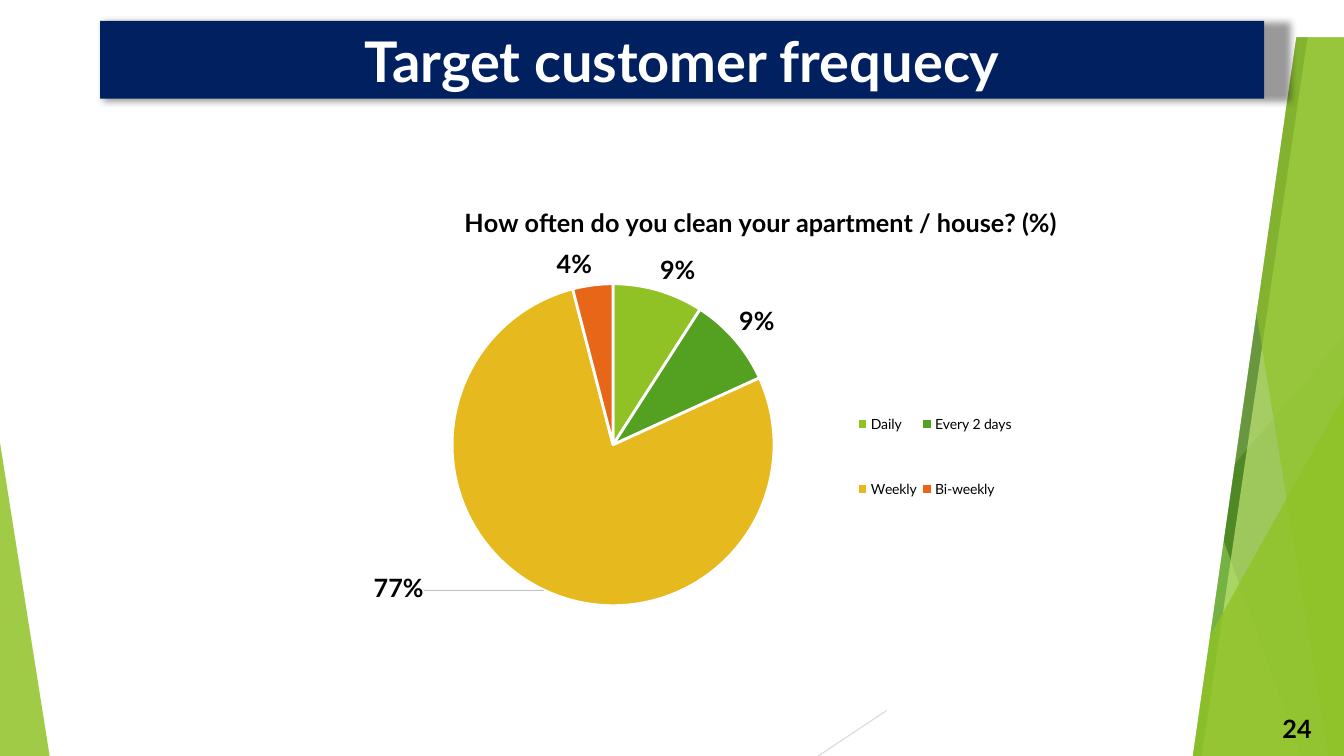
from lxml import etree
from pptx import Presentation
from pptx.chart.data import CategoryChartData
from pptx.dml.color import RGBColor
from pptx.enum.chart import XL_CHART_TYPE, XL_LABEL_POSITION as LabelPos, XL_LEGEND_POSITION as LegendPos
from pptx.enum.shapes import MSO_CONNECTOR, MSO_SHAPE
from pptx.enum.text import MSO_ANCHOR, MSO_AUTO_SIZE, PP_ALIGN
from pptx.oxml import parse_xml
from pptx.oxml.ns import nsdecls, qn
from pptx.util import Pt

COLORS = {
    "white": "FFFFFF", "black": "000000", "navy": "002060",
    "lime": "90C226", "green": "54A021", "forest": "3F7819", "pale": "C0E474",
    "yellow": "E6B91E", "orange": "E76618", "gray": "BFBFBF", "light": "D9D9D9",
}
FONT = "Lato"


def write(frame, text, size=18, color="black", bold=True, align=PP_ALIGN.CENTER):
    paragraph = frame.paragraphs[0]
    paragraph.alignment = align
    run = paragraph.add_run()
    run.text = text
    run.font.name = FONT
    run.font.size = Pt(size)
    run.font.bold = bold
    run.font.color.rgb = RGBColor.from_string(COLORS[color])


def place(parent, index, inner=False, **fractions):
    for old in parent.findall(qn("c:layout")):
        parent.remove(old)
    layout = etree.Element(qn("c:layout"))
    manual = etree.SubElement(layout, qn("c:manualLayout"))
    settings = {"layoutTarget": "inner"} if inner else {}
    if index and "w" not in fractions:
        modes = {}
    else:
        modes = {"xMode": "edge", "yMode": "edge"}
    for tag, value in {**settings, **modes, **fractions}.items():
        etree.SubElement(manual, qn("c:" + tag)).set("val", str(value))
    parent.insert(index, layout)


prs = Presentation()
prs.slide_width, prs.slide_height = Pt(960), Pt(540)
slide = prs.slides.add_slide(prs.slide_layouts[5])
shapes = slide.shapes

for x1, y1, x2, y2, color in [(738, 0, 834, 540, "gray"), (960, 290, 584.5, 540, "light")]:
    ray = shapes.add_connector(MSO_CONNECTOR.STRAIGHT, Pt(x1), Pt(y1), Pt(x2), Pt(y2))
    ray.line.color.rgb = RGBColor.from_string(COLORS[color])
    ray.line.width = Pt(0.75)
    etree.SubElement(ray._element.spPr, qn("a:effectLst"))

facets = [
    ((884, 723), "lime", 30),
    ((756, 852), "lime", 20),
    ((703.5, 240, 256.5, 300, 1, 0), "green", 72),
    ((735, 929.5), "forest", 70),
    ((938, 858.5), "pale", 70),
    ((861, 949), "lime", 65),
    ((816.5, 283, 143.5, 257, 1, 0), "lime", 80),
    ((0, 316, 35.5, 224, 0, 0), "lime", 85),
    ((727, -72, 157, 214.5, 0.5, 290.1), "white", 100),
]
for outline, color, opacity in facets:
    if len(outline) == 2:
        top_x, bottom_x = outline
        builder = shapes.build_freeform(Pt(top_x), Pt(-0.6), scale=1.0)
        builder.add_line_segments(
            [(Pt(960), Pt(-0.6)), (Pt(960), Pt(540)), (Pt(bottom_x), Pt(540))], close=True)
        facet = builder.convert_to_shape()
    else:
        *box, apex, turn = outline
        facet = shapes.add_shape(MSO_SHAPE.ISOSCELES_TRIANGLE, *map(Pt, box))
        facet.adjustments[0] = apex
        facet.rotation = turn
    facet.shadow.inherit = False
    facet.line.fill.background()
    facet.fill.solid()
    facet.fill.fore_color.rgb = RGBColor.from_string(COLORS[color])
    if opacity < 100:
        tint = facet._element.spPr.find(qn("a:solidFill"))[0]
        etree.SubElement(tint, qn("a:alpha")).set("val", str(opacity * 1000))

for *box, turn in [(668, -50.5, 221, 651, 8.2), (0, -4.5, 970.5, 31, 0)]:
    cover = shapes.add_shape(MSO_SHAPE.RECTANGLE, *map(Pt, box))
    cover.rotation = turn
    cover.shadow.inherit = False
    cover.line.fill.background()
    cover.fill.solid()
    cover.fill.fore_color.rgb = RGBColor.from_string(COLORS["white"])

title = shapes.title
shapes._spTree.append(title._element)
title.left, title.top, title.width, title.height = Pt(71.5), Pt(15), Pt(831.5), Pt(55.5)
title.fill.solid()
title.fill.fore_color.rgb = RGBColor.from_string(COLORS["navy"])
title._element.spPr.append(parse_xml(
    f'<a:effectLst {nsdecls("a")}><a:outerShdw blurRad="63500" sx="102000" sy="102000" '
    f'algn="ctr" rotWithShape="0"><a:srgbClr val="{COLORS["black"]}"><a:alpha val="40000"/>'
    '</a:srgbClr></a:outerShdw></a:effectLst>'))
title.text_frame.auto_size = MSO_AUTO_SIZE.NONE
title.text_frame.vertical_anchor = MSO_ANCHOR.MIDDLE
write(title.text_frame, "Target customer frequecy", size=40, color="white")

answers = CategoryChartData(number_format="0%")
answers.categories = ["Daily", "Every 2 days", "Weekly", "Bi-weekly"]
answers.add_series("Series 1", (0.09, 0.09, 0.77, 0.04))
chart = shapes.add_chart(
    XL_CHART_TYPE.PIE, Pt(199.5), Pt(129), Pt(561), Pt(334), answers).chart
chart.font.name = FONT
chart.font.size = Pt(10)
chart.font.color.rgb = RGBColor.from_string(COLORS["black"])

chart.has_title = True
write(chart.chart_title.text_frame, "How often do you clean your apartment / house? (%)")
place(chart.chart_title._element, 1, xMode="edge", yMode="edge", x=0.23, y=0.04)

chart.has_legend = True
chart.legend.position = LegendPos.RIGHT
chart.legend.include_in_layout = False
place(chart.legend._element, 1, x=0.73, y=0.4, w=0.21, h=0.38)

pie = chart.plots[0]
pie.vary_by_categories = True
place(pie._element.getparent(), 0, inner=True, x=0.22, y=0.22, w=0.41, h=0.69)

frequency = pie.series[0]
for index, color in enumerate(["lime", "green", "yellow", "orange"]):
    piece = frequency.points[index].format
    piece.fill.solid()
    piece.fill.fore_color.rgb = RGBColor.from_string(COLORS[color])
    piece.line.color.rgb = RGBColor.from_string(COLORS["white"])
    piece.line.width = Pt(2)

shares = frequency.data_labels
shares.show_value = True
shares.number_format = "0%"
shares.number_format_is_linked = False
weekly = frequency.points[2].data_label
for label in (shares, weekly):
    label.position = LabelPos.OUTSIDE_END
    label.font.name = FONT
    label.font.size = Pt(18)
    label.font.bold = True
    label.font.color.rgb = RGBColor.from_string(COLORS["black"])
place(shares._element.find(qn("c:dLbl")), 1, x=-0.15, y=-0.05)
shares._element.append(parse_xml(
    f'<c:leaderLines {nsdecls("c", "a")}><c:spPr><a:ln w="9525"><a:solidFill>'
    f'<a:srgbClr val="{COLORS["gray"]}"/></a:solidFill></a:ln></c:spPr></c:leaderLines>'))

page = shapes.add_textbox(Pt(890), Pt(505.5), Pt(54), Pt(29)).text_frame
page.word_wrap = True
page.vertical_anchor = MSO_ANCHOR.MIDDLE
write(page, "24", align=PP_ALIGN.RIGHT)

prs.save("out.pptx")
